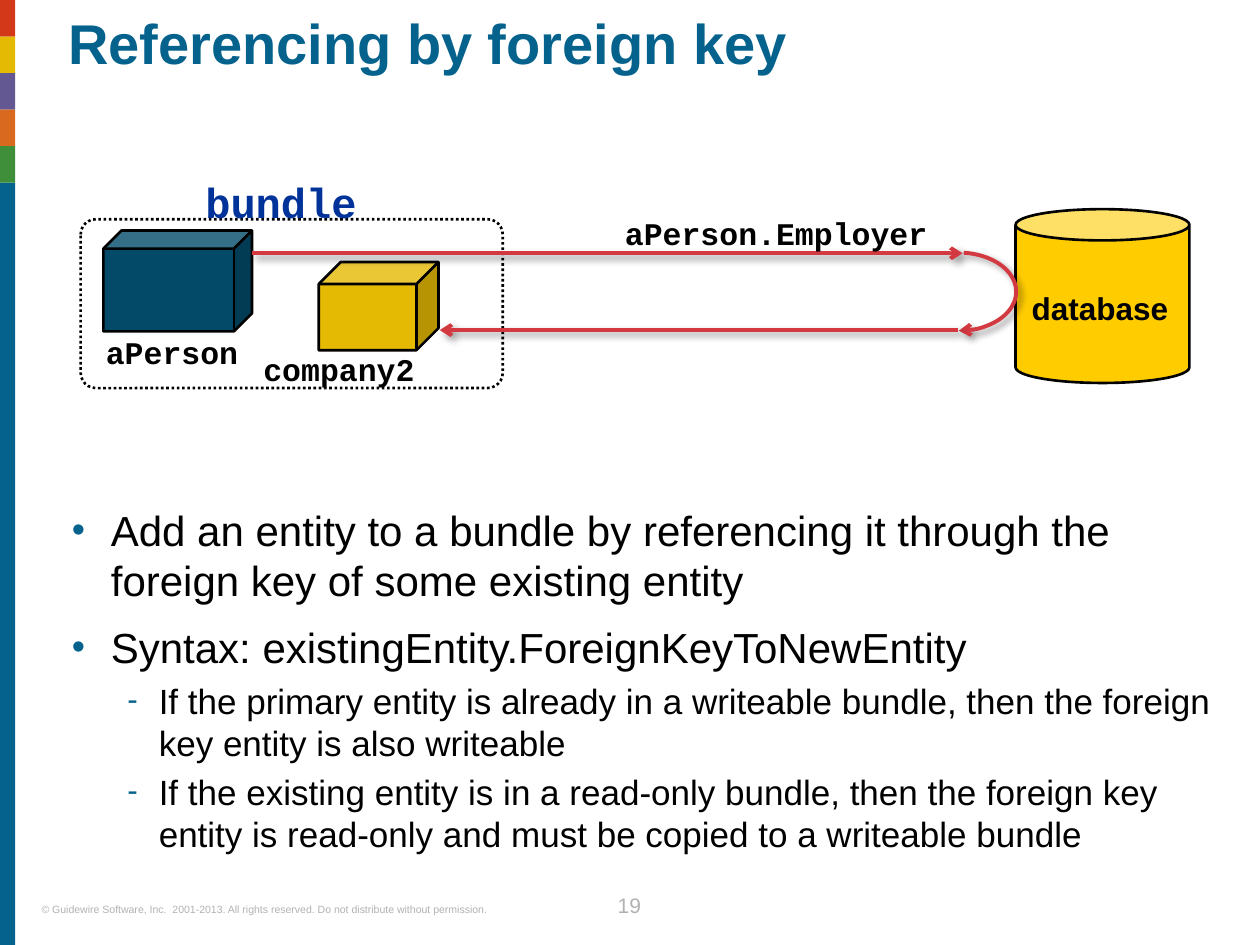
from lxml.etree import SubElement
from pptx import Presentation
from pptx.dml.color import RGBColor
from pptx.enum.dml import MSO_LINE
from pptx.enum.shapes import MSO_CONNECTOR, MSO_SHAPE
from pptx.enum.text import MSO_ANCHOR, MSO_AUTO_SIZE, PP_ALIGN
from pptx.oxml.ns import qn
from pptx.util import Inches, Pt

COLORS = {
    "black": "000000", "teal": "04628C", "deep teal": "034A69", "green": "3F8E39",
    "orange": "D8691E", "purple": "645893", "gold": "E5BA03", "red": "D33819",
    "yellow": "FFCC00", "arrow": "D33941", "blue": "003399", "grey": "B2B2B2",
}
STRIPES = ["red", "gold", "purple", "orange", "green"]
POINTS = [
    (0, "Add an entity to a bundle by referencing it through the foreign key of some existing entity"),
    (0, "Syntax: existingEntity.ForeignKeyToNewEntity"),
    (1, "If the primary entity is already in a writeable bundle, then the foreign key entity is also writeable"),
    (1, "If the existing entity is in a read-only bundle, then the foreign key entity is read-only "
        "and must be copied to a writeable bundle"),
]
LEVELS = [("•", 0.31, 0.31, 24, 9.6), ("-", 0.69, 0.25, 20, 4)]
CODE = "Courier New"


class SlideBuilder:
    """Draws styled elements on one slide, using a grid of 100 columns by 75 rows."""

    def __init__(self):
        self.deck = Presentation()
        self.deck.slide_width, self.deck.slide_height = Inches(10), Inches(7.5)
        self.page = self.deck.slides.add_slide(self.deck.slide_layouts[1])

    def grid(self, *cells):
        return [round(cell * self.deck.slide_width / 100) for cell in cells]

    def color(self, name):
        return RGBColor.from_string(COLORS[name])

    def style(self, para, size, color, font="Arial", bold=False):
        para.font.name, para.font.size, para.font.bold = font, Pt(size), bold
        para.font.color.rgb = self.color(color)

    def frame(self, shape, area, wrap=True):
        shape.left, shape.top, shape.width, shape.height = self.grid(*area)
        frame = shape.text_frame
        frame.margin_left = frame.margin_right = frame.margin_top = frame.margin_bottom = 0
        frame.word_wrap, frame.auto_size = wrap, MSO_AUTO_SIZE.NONE
        frame.vertical_anchor = MSO_ANCHOR.TOP
        return frame

    def title(self, area, text):
        para = self.frame(self.page.shapes.title, area).paragraphs[0]
        para.text, para.alignment, para.line_spacing = text, PP_ALIGN.LEFT, 0.9
        self.style(para, 32, "teal", bold=True)

    def bullets(self, area, points):
        frame = self.frame(self.page.placeholders[1], area)
        for index, (level, text) in enumerate(points):
            mark, margin, hanging, size, gap = LEVELS[level]
            para = frame.paragraphs[0] if index == 0 else frame.add_paragraph()
            para.text, para.level = text, level
            para.space_before = Pt(gap if index else 0)
            properties = para._p.get_or_add_pPr()
            properties.set("marL", str(Inches(margin)))
            properties.set("indent", str(-Inches(hanging)))
            bullet_color = SubElement(properties, qn("a:buClr"))
            SubElement(bullet_color, qn("a:srgbClr"), val=COLORS["teal"])
            SubElement(properties, qn("a:buSzPct"), val="90000")
            SubElement(properties, qn("a:buFont"), typeface="Arial")
            SubElement(properties, qn("a:buChar"), char=mark)
            self.style(para, size, "black")

    def label(self, area, text, size=18, color="black", font="Arial", bold=True, align=PP_ALIGN.LEFT):
        box = self.page.shapes.add_textbox(0, 0, 0, 0)
        para = self.frame(box, area).paragraphs[0]
        para.text, para.alignment = text, align
        self.style(para, size, color, font, bold)

    def shape(self, kind, area, fill=None, line=None, adjust=None):
        shape = self.page.shapes.add_shape(kind, *self.grid(*area))
        shape.shadow.inherit = False
        if fill:
            shape.fill.solid()
            shape.fill.fore_color.rgb = self.color(fill)
        else:
            shape.fill.background()
        if line:
            shape.line.color.rgb, shape.line.width = self.color(line), Pt(1.5)
        else:
            shape.line.fill.background()
        if adjust is not None:
            shape.adjustments[0] = adjust
        return shape

    def arrow_style(self, shape):
        shape.line.color.rgb, shape.line.width = self.color("arrow"), Pt(2.25)
        SubElement(shape.line._get_or_add_ln(), qn("a:tailEnd"), type="arrow")
        properties = shape._element.spPr
        effects = properties.find(qn("a:effectLst"))
        if effects is None:
            effects = SubElement(properties, qn("a:effectLst"))
        shadow = SubElement(effects, qn("a:outerShdw"), blurRad=str(Pt(4)), dist=str(Pt(3)),
                            dir=str(45 * 60000), rotWithShape="0")
        shadow_color = SubElement(shadow, qn("a:srgbClr"), val=COLORS["black"])
        SubElement(shadow_color, qn("a:alpha"), val="40000")

    def arrow(self, start, end, row):
        line = self.page.shapes.add_connector(MSO_CONNECTOR.STRAIGHT, *self.grid(start, row, end, row))
        self.arrow_style(line)

    def turn(self, area):
        arc = self.shape(MSO_SHAPE.ARC, area, line="arrow", adjust=112.214)
        arc.adjustments[1] = 0
        arc.rotation = 90
        self.arrow_style(arc)


def main():
    slide = SlideBuilder()
    slide.title((5.4, 1.3, 91, 8.1), "Referencing by foreign key")
    slide.bullets((5.7, 40, 91, 30), POINTS)

    stripe = 2.9
    slide.shape(MSO_SHAPE.RECTANGLE, (0, 5 * stripe, 1.2, 75 - 5 * stripe), "teal")
    for index, color in enumerate(STRIPES):
        slide.shape(MSO_SHAPE.RECTANGLE, (0, index * stripe, 1.2, stripe), color)
    slide.label((3.3, 71.7, 40.2, 1), "© Guidewire Software, Inc.  2001-2013. All rights reserved. "
                "Do not distribute without permission.", 6, "grey", bold=False)
    slide.label((47.1, 70.8, 5.7, 2.5), "19", 12, "grey", bold=False, align=PP_ALIGN.CENTER)

    bundle = slide.shape(MSO_SHAPE.ROUNDED_RECTANGLE, (6.4, 17.4, 33.5, 13.4), line="black", adjust=0.09)
    bundle.line.dash_style = MSO_LINE.ROUND_DOT
    slide.shape(MSO_SHAPE.CAN, (80.6, 16.6, 13.8, 13.8), "yellow", "black", 0.18)
    slide.shape(MSO_SHAPE.CUBE, (8.2, 18.3, 11.8, 8), "deep teal", "black", 0.18)
    slide.shape(MSO_SHAPE.CUBE, (25.3, 20.8, 9.5, 7), "gold", "black", 0.25)
    slide.label((8.4, 26.4, 10.7, 3), "aPerson", font=CODE)
    slide.label((20.9, 27.8, 18.4, 3), "company2", font=CODE)

    slide.arrow(20, 76.4, 20.1)
    slide.turn((73, 18.6, 6.2, 9.1))
    slide.arrow(76, 34.9, 26.2)
    slide.label((13.1, 14, 18.4, 4), "bundle", 24, "blue", CODE, align=PP_ALIGN.CENTER)
    slide.label((81.4, 22.9, 11.8, 3), "database", align=PP_ALIGN.CENTER)
    slide.label((49.6, 17, 24.6, 3), "aPerson.Employer", font=CODE)
    slide.deck.save("out.pptx")


if __name__ == "__main__":
    main()
